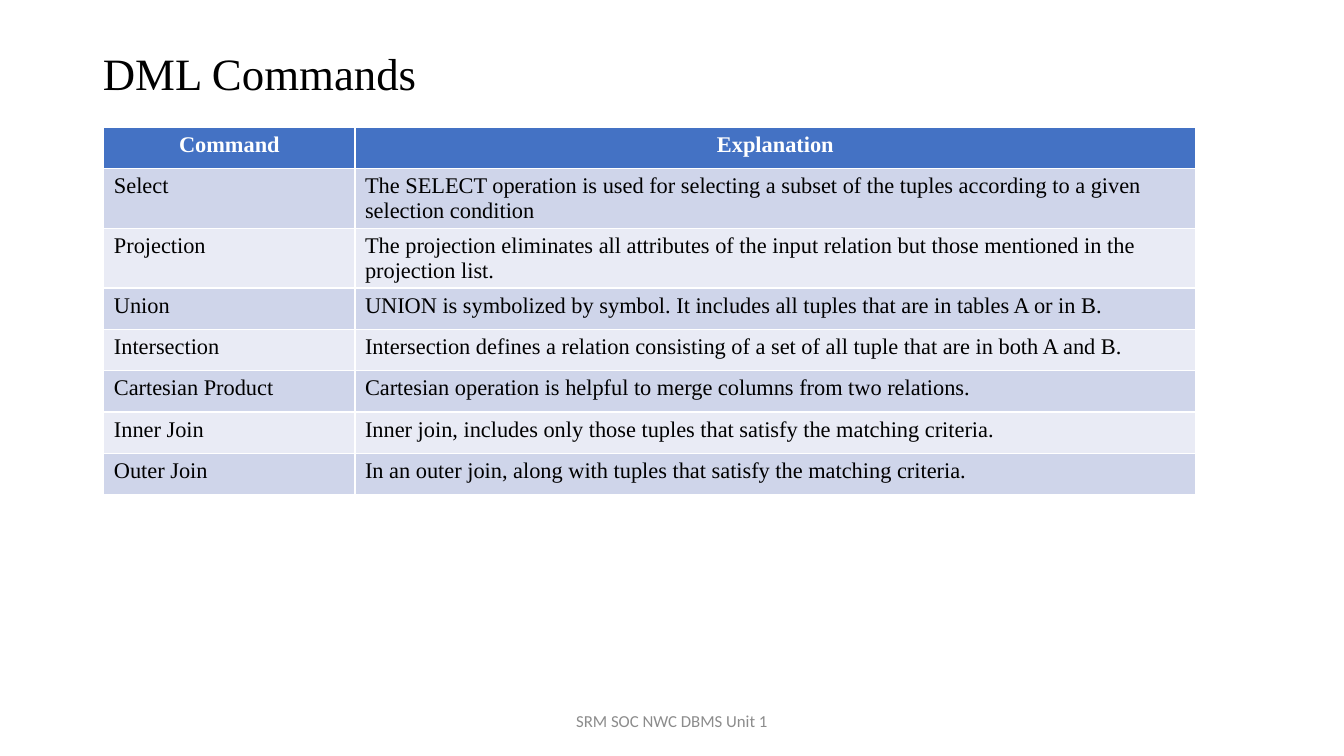
from pptx import Presentation, util as u
from pptx.dml.color import RGBColor
from pptx.enum import text

HUES = {"ink": "000000", "head": "4472C4", "odd": "CFD5EA",
        "even": "E9EBF5", "white": "FFFFFF", "gray": "8C8C8C"}
SERIF = "Times New Roman"
WIDE, HIGH = 13.33, 7.5
ROW = 0.41
ROWS = [
    ("Command", "Explanation"),
    ("Select", "The SELECT operation is used for selecting a subset of the "
               "tuples according to a given selection condition"),
    ("Projection", "The projection eliminates all attributes of the input "
                   "relation but those mentioned in the projection list."),
    ("Union", "UNION is symbolized by symbol. It includes all tuples that "
              "are in tables A or in B."),
    ("Intersection", "Intersection defines a relation consisting of a set of "
                     "all tuple that are in both A and B."),
    ("Cartesian Product", "Cartesian operation is helpful to merge columns "
                          "from two relations."),
    ("Inner Join", "Inner join, includes only those tuples that satisfy the "
                   "matching criteria."),
    ("Outer Join", "In an outer join, along with tuples that satisfy the "
                   "matching criteria."),
]


def hue(name):
    return RGBColor.from_string(HUES[name])


def write(frame, words, size, color, face=SERIF, bold=False, center=False):
    frame.text = words
    para = frame.paragraphs[0]
    para.alignment = text.PP_ALIGN.CENTER if center else text.PP_ALIGN.LEFT
    font = para.font
    font.name, font.size, font.bold = face, u.Pt(size), bold
    font.color.rgb = hue(color)
    return para


def add_title(slide, box):
    title = slide.shapes.title
    title.left, title.top, title.width, title.height = map(u.Inches, box)
    frame = title.text_frame
    frame.vertical_anchor = text.MSO_ANCHOR.MIDDLE
    write(frame, "DML Commands", 32, "ink").line_spacing = 0.9


def add_grid(slide, box):
    # The default table style supplies the white cell borders
    grid = slide.shapes.add_table(len(ROWS), 2, *map(u.Inches, box)).table
    for col, share in zip(grid.columns, (0.23, 0.77)):
        col.width = u.Inches(box[2] * share)
    for i, row in enumerate(ROWS):
        grid.rows[i].height = u.Inches(ROW)
        top = i == 0
        fill = "head" if top else "odd" if i % 2 else "even"
        for cell, words in zip(grid.rows[i].cells, row):
            cell.fill.solid()
            cell.fill.fore_color.rgb = hue(fill)
            write(cell.text_frame, words, 16, "white" if top else "ink",
                  bold=top, center=top)


def add_foot(slide, box):
    frame = slide.shapes.add_textbox(*map(u.Inches, box)).text_frame
    frame.word_wrap = True
    frame.vertical_anchor = text.MSO_ANCHOR.MIDDLE
    write(frame, "SRM SOC NWC DBMS Unit 1", 12, "gray", "Calibri", center=True)


def main():
    deck = Presentation()
    deck.slide_width, deck.slide_height = u.Inches(WIDE), u.Inches(HIGH)
    slide = deck.slides.add_slide(deck.slide_layouts[5])
    add_title(slide, (0.92, 0.4, 11.5, 0.7))
    add_grid(slide, (1.03, 1.26, 10.83, ROW * len(ROWS)))
    add_foot(slide, ((WIDE - 4.5) / 2, 6.95, 4.5, 0.4))
    deck.save("out.pptx")


if __name__ == "__main__":
    main()
